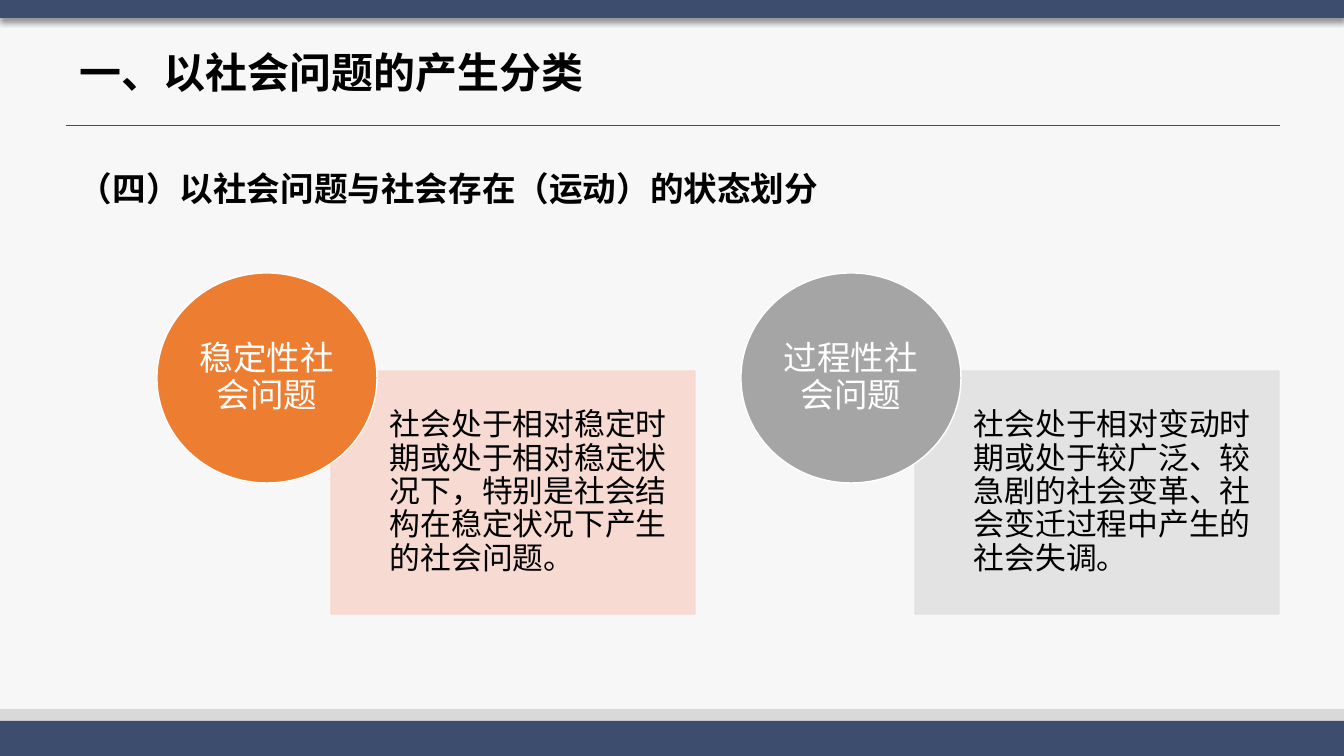
from dataclasses import dataclass

from lxml.etree import SubElement
from pptx import Presentation
from pptx.dml.color import RGBColor
from pptx.enum.shapes import MSO_CONNECTOR, MSO_SHAPE
from pptx.enum.text import MSO_ANCHOR, PP_ALIGN
from pptx.oxml.ns import qn
from pptx.shapes.autoshape import Shape
from pptx.util import Emu, Pt


@dataclass(frozen=True)
class Theme:
    background: str = "F7F7F7"
    navy: str = "3D4D6E"
    strip: str = "D9D9D9"
    ink: str = "000000"
    white: str = "FFFFFF"
    cjk_font: str = "Noto Sans CJK SC"
    latin_font: str = "Calibri"
    title_size: int = 30
    heading_size: int = 24
    body_size: int = 22
    panel_opacity: int = 90


@dataclass(frozen=True)
class Category:
    name: str
    description: str
    circle_color: str
    panel_color: str


THEME = Theme()
SLIDE_W, SLIDE_H = 1344, 756
CATEGORY_PITCH = 584
CATEGORIES = [
    Category("稳定性社会问题",
             "社会处于相对稳定时期或处于相对稳定状况下，特别是社会结构在稳定状况下产生的社会问题。",
             "ED7D31", "F8D7CE"),
    Category("过程性社会问题",
             "社会处于相对变动时期或处于较广泛、较急剧的社会变革、社会变迁过程中产生的社会失调。",
             "A5A5A5", "E1E1E1"),
]


def px(length: int) -> Emu:
    return Emu(round(length * 914400 / 100.8))


def rgb(color: str) -> RGBColor:
    return RGBColor.from_string(color)


def write(shape: Shape, text: str, *, size: int, color: str = THEME.ink,
          font: str = THEME.cjk_font, bold: bool = False,
          align: PP_ALIGN = PP_ALIGN.LEFT, anchor: MSO_ANCHOR = MSO_ANCHOR.MIDDLE,
          spacing: float = 0.9,
          insets: tuple[int, int, int, int] = (10, 5, 10, 5)) -> None:
    frame = shape.text_frame
    frame.word_wrap = True
    frame.vertical_anchor = anchor
    (frame.margin_left, frame.margin_top,
     frame.margin_right, frame.margin_bottom) = map(px, insets)
    paragraph = frame.paragraphs[0]
    paragraph.alignment = align
    paragraph.line_spacing = spacing
    run = paragraph.add_run()
    run.text = text
    run.font.size = Pt(size)
    run.font.bold = bold
    run.font.color.rgb = rgb(color)
    run.font.name = font
    SubElement(run.font._element, qn("a:ea"), typeface=THEME.cjk_font)


def add_block(shapes, kind: MSO_SHAPE, left: int, top: int, width: int, height: int,
              fill: str, outline: str | None = None, opacity: int = 100) -> Shape:
    block = shapes.add_shape(kind, px(left), px(top), px(width), px(height))
    block.shadow.inherit = False
    block.fill.solid()
    block.fill.fore_color.rgb = rgb(fill)
    if outline:
        block.line.color.rgb = rgb(outline)
        block.line.width = Pt(1)
    else:
        block.line.fill.background()
    if opacity < 100:
        for color in block._element.spPr.iter(qn("a:srgbClr")):
            SubElement(color, qn("a:alpha"), val=str(opacity * 1000))
    return block


def add_drop_shadow(block: Shape) -> None:
    effects = block._element.spPr.find(qn("a:effectLst"))
    shadow = SubElement(effects, qn("a:outerShdw"), blurRad=str(Pt(4)), dist=str(Pt(3)),
                        dir="5400000", algn="t", rotWithShape="0")
    color = SubElement(shadow, qn("a:srgbClr"), val=THEME.ink)
    SubElement(color, qn("a:alpha"), val="40000")


def add_category(shapes, category: Category, offset: int) -> None:
    panel = add_block(shapes, MSO_SHAPE.RECTANGLE, 331 + offset, 371, 364, 243,
                      category.panel_color, category.panel_color, THEME.panel_opacity)
    write(panel, category.description, size=THEME.body_size, insets=(59, 17, 17, 17))
    circle = add_block(shapes, MSO_SHAPE.OVAL, 157 + offset, 273, 220, 210,
                       category.circle_color, THEME.white)
    write(circle, category.name, size=THEME.heading_size, color=THEME.white,
          font=THEME.latin_font, align=PP_ALIGN.CENTER, insets=(0, 0, 0, 0))


def main() -> None:
    deck = Presentation()
    deck.slide_width, deck.slide_height = px(SLIDE_W), px(SLIDE_H)
    slide = deck.slides.add_slide(deck.slide_layouts[6])
    slide.background.fill.solid()
    slide.background.fill.fore_color.rgb = rgb(THEME.background)
    shapes = slide.shapes

    # Top and bottom bars
    add_block(shapes, MSO_SHAPE.RECTANGLE, 0, 709, SLIDE_W, 35, THEME.strip)
    add_block(shapes, MSO_SHAPE.RECTANGLE, 0, 721, SLIDE_W, 35, THEME.navy)
    header = add_block(shapes, MSO_SHAPE.RECTANGLE, 0, 0, SLIDE_W, 18, THEME.navy)
    add_drop_shadow(header)

    # Title, rule and heading
    title = shapes.add_textbox(px(70), px(35), px(1208), px(80))
    write(title, "一、以社会问题的产生分类", size=THEME.title_size, bold=True)
    rule = shapes.add_connector(MSO_CONNECTOR.STRAIGHT, px(66), px(125), px(1280), px(125))
    rule.line.color.rgb = rgb(THEME.navy)
    rule.line.width = Pt(0.5)
    SubElement(rule._element.spPr, qn("a:effectLst"))
    heading = shapes.add_textbox(px(69), px(143), px(1228), px(537))
    write(heading, "（四）以社会问题与社会存在（运动）的状态划分", size=THEME.heading_size,
          bold=True, anchor=MSO_ANCHOR.TOP, spacing=1.5)

    # Categories
    for index, category in enumerate(CATEGORIES):
        add_category(shapes, category, index * CATEGORY_PITCH)

    deck.save("out.pptx")


if __name__ == "__main__":
    main()
